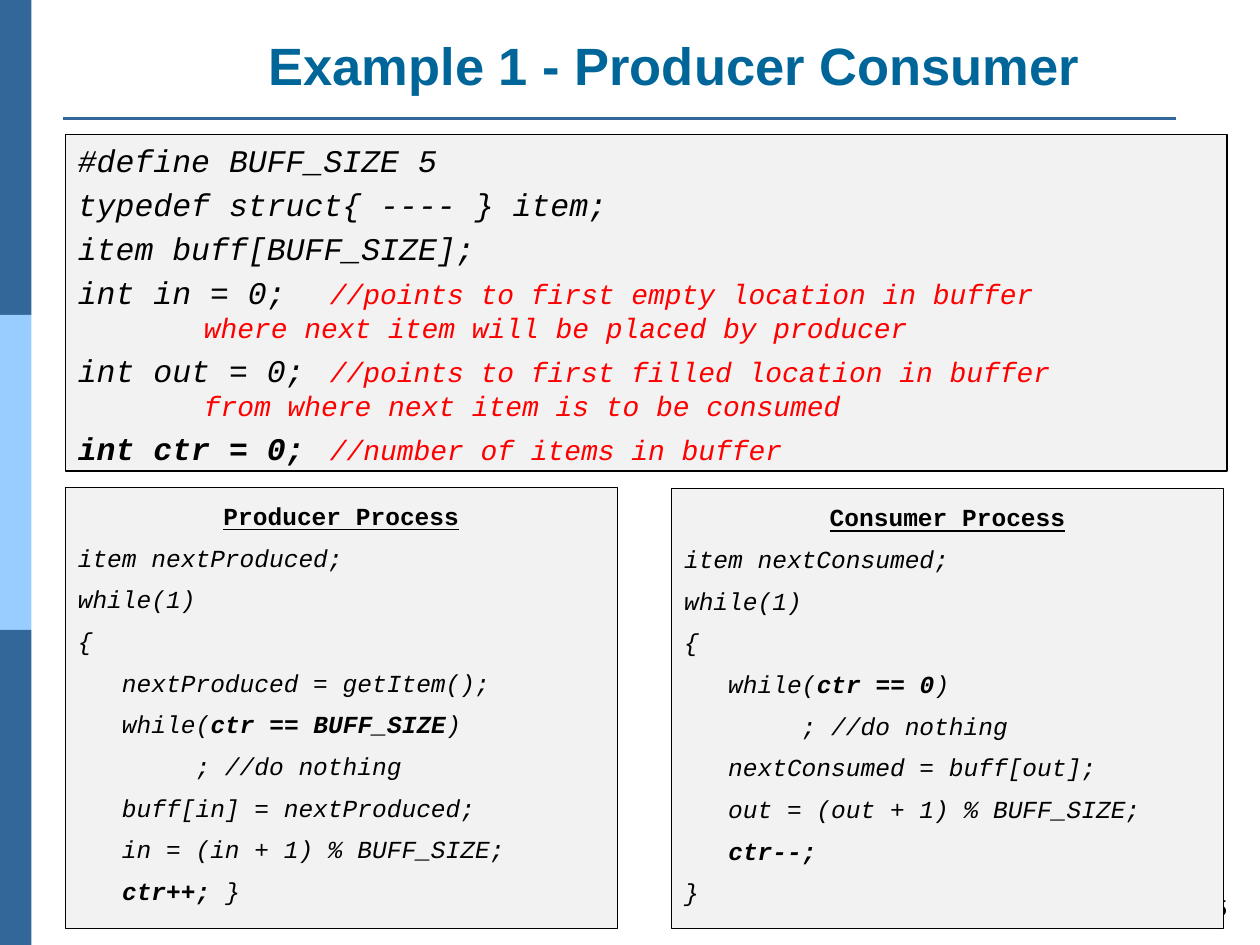
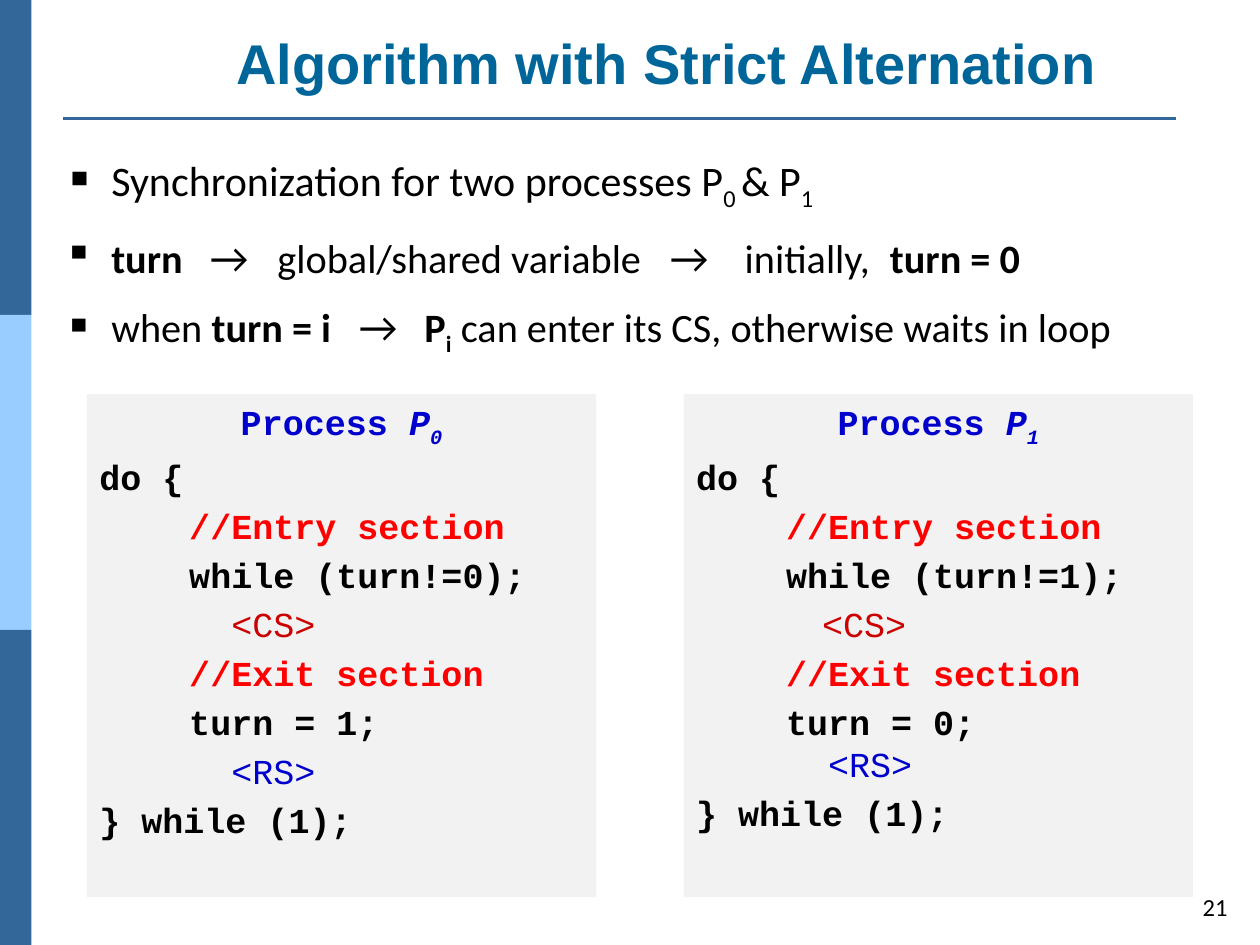
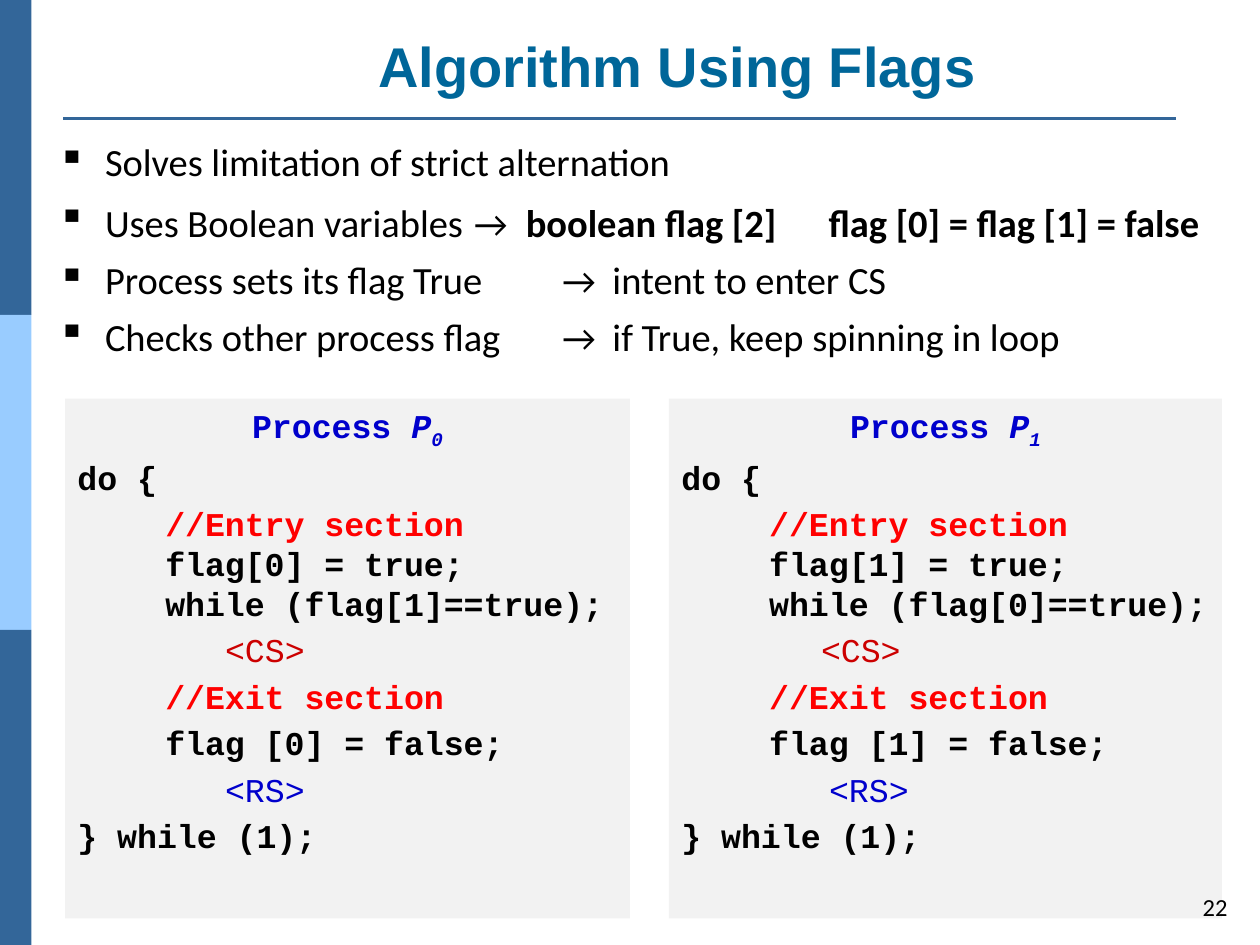
from dataclasses import dataclass

import pptx
import pptx.dml.color
import pptx.enum.shapes
import pptx.enum.text
import pptx.oxml
import pptx.oxml.ns
import pptx.util
from pptx.util import Pt


@dataclass(frozen=True)
class Theme:
    dark_band: str = "336699"
    light_band: str = "99CCFF"
    title: str = "006699"
    panel: str = "F2F2F2"
    ink: str = "000000"
    comment: str = "FF0000"
    critical: str = "CC0000"
    process: str = "0000CC"
    title_font: str = "Arial"
    body_font: str = "Calibri"
    arrow_font: str = "Lato"
    code_font: str = "Courier New"
    number_size: int = 14
    process_size: int = 14
    comment_size: int = 16
    declaration_size: int = 18
    arrow_size: int = 20


theme = Theme()
ALIGN = pptx.enum.text.PP_ALIGN
ANCHOR = pptx.enum.text.MSO_ANCHOR


def add_box(slide, bounds, fill=None, line=None, anchor=ANCHOR.TOP):
    """Add a filled rectangle, or a text box without fill; return its text frame."""
    left, top, width, height = map(Pt, bounds)
    if fill:
        shape = slide.shapes.add_shape(
            pptx.enum.shapes.MSO_SHAPE.RECTANGLE, left, top, width, height)
        shape.shadow.inherit = False
        shape.fill.solid()
        shape.fill.fore_color.rgb = pptx.dml.color.RGBColor.from_string(fill)
        if line:
            shape.line.color.rgb = pptx.dml.color.RGBColor.from_string(line)
            shape.line.width = Pt(0.75)
        else:
            shape.line.fill.background()
    else:
        shape = slide.shapes.add_textbox(left, top, width, height)
    frame = shape.text_frame
    frame.word_wrap = True
    frame.vertical_anchor = anchor
    return frame


def add_text(frame, *runs, align=ALIGN.LEFT, indent=0, before=0, spacing=None,
             bullet=None, tabs=(), **run_format):
    """Add a paragraph; a run is a string, or a (string, format changes) pair."""
    is_first = not frame.paragraphs[0].runs
    paragraph = frame.paragraphs[0] if is_first else frame.add_paragraph()
    paragraph.alignment = align
    properties = paragraph._p.get_or_add_pPr()
    properties.set("marL", str(Pt(indent)))
    properties.set("indent", str(-Pt(indent) if bullet else 0))
    namespace = pptx.oxml.ns.nsdecls("a")
    if bullet:
        properties.append(pptx.oxml.parse_xml(f'<a:buChar {namespace} char="{bullet}"/>'))
    if tabs:
        stops = "".join(f'<a:tab pos="{Pt(tab)}" algn="l"/>' for tab in tabs)
        properties.append(pptx.oxml.parse_xml(f"<a:tabLst {namespace}>{stops}</a:tabLst>"))
    if not is_first:
        paragraph.space_before = Pt(before)
    if spacing:
        paragraph.line_spacing = spacing
    for item in runs:
        text, changes = (item, {}) if isinstance(item, str) else item
        look = {"color": theme.ink, **run_format, **changes}
        for index, piece in enumerate(text.split("\n")):
            if index:
                paragraph.add_line_break()
            run = paragraph.add_run()
            run.text = piece
            font = run.font
            font.name = look["font"]
            font.size = Pt(look["size"])
            font.color.rgb = pptx.dml.color.RGBColor.from_string(look["color"])
            font.bold = look.get("bold", False)
            font.italic = look.get("italic", False)
            font.underline = look.get("underline", False)
            if look.get("subscript"):
                run._r.get_or_add_rPr().set("baseline", "-25000")


presentation = pptx.Presentation()
presentation.slide_width = Pt(720)
presentation.slide_height = Pt(540)
blank_layout = presentation.slide_layouts[6]
producer_slide, alternation_slide, flags_slide = [
    presentation.slides.add_slide(blank_layout) for _ in range(3)]

BOLD = {"bold": True}
SUBSCRIPT = {"subscript": True}
BOLD_SUBSCRIPT = {"bold": True, "subscript": True}
ARROW = {"font": theme.arrow_font}
SMALL_ARROW = {"font": theme.arrow_font, "size": theme.arrow_size}

# Process panels: slide, bounds, process, type size, entry code, its gap, exit code,
# indent of <CS>, indent of <RS>, gap above <RS>
process_panels = [
    (alternation_slide, (49.7, 225.2, 291, 287.4), "0", 20,
     "while (turn!=0);", 4, "turn = 1;", 75.4, 75.4, 4),
    (alternation_slide, (390.7, 225.2, 291, 287.4), "1", 20,
     "while (turn!=1);", 4, "turn = 0;", 72, 75.4, 0),
    (flags_slide, (37.2, 227.8, 322.8, 297), "0", 19,
     "flag[0] = true;\nwhile (flag[1]==true);", 0, "flag [0] = false;", 84.4, 84.4, 3.8),
    (flags_slide, (382.3, 227.8, 316, 297), "1", 19,
     "flag[1] = true;\nwhile (flag[0]==true);", 0, "flag [1] = false;", 79.8, 84.4, 3.8),
]
for (slide, bounds, process, size, entry_code, entry_gap, exit_code,
     critical_indent, remainder_indent, remainder_gap) in process_panels:
    frame = add_box(slide, bounds, fill=theme.panel)
    code = {"font": theme.code_font, "size": size}
    add_text(frame, "Process ", ("P", {"italic": True}),
             (process, {"italic": True, "subscript": True}),
             align=ALIGN.CENTER, color=theme.process, bold=True, **code)
    gap = 0.2 * size
    code_indent = 27.4 + 1.2 * size
    for text, indent, color, bold, before in [
        ("do {", 0, theme.ink, True, gap),
        ("//Entry section", code_indent, theme.comment, True, gap),
        (entry_code, code_indent, theme.ink, True, entry_gap),
        ("<CS>", critical_indent, theme.critical, False, gap),
        ("//Exit section", code_indent, theme.comment, True, gap),
        (exit_code, code_indent, theme.ink, True, gap),
        ("<RS>", remainder_indent, theme.process, False, remainder_gap),
        ("} while (1);", 0, theme.ink, True, gap),
    ]:
        add_text(frame, text, indent=indent, color=color, bold=bold, before=before, **code)

# Bullet lists: slide, bounds, type size, space before, (tab stops, runs) of each point
bullet_lists = [
    (alternation_slide, (29.5, 85, 676, 137.5), 23, 12, [
        ((), [("Synchronization for two processes P", {"size": 24}),
              ("0 ", {"size": 24, **SUBSCRIPT}), ("& P", {"size": 24}),
              ("1", {"size": 24, **SUBSCRIPT})]),
        ((83, 122, 345.8, 389, 472), [
            ("turn", BOLD), ("\t→", ARROW), "\tglobal/shared variable", ("\t→", ARROW),
            "\tinitially,", ("\tturn = 0", BOLD)]),
        ((168, 206), ["when ", ("turn = i", BOLD), ("\t→", ARROW), ("\tP", BOLD),
                      ("i", BOLD_SUBSCRIPT), " can enter its CS, otherwise waits in loop"]),
    ]),
    (flags_slide, (25.9, 75.6, 682.6, 168.5), 22, 6, [
        ((), ["Solves limitation of strict alternation"]),
        ((237.5, 267.5, 440.5), [
            "Uses Boolean variables", ("\t", {"font": theme.arrow_font, "size": 24}),
            ("→", SMALL_ARROW), ("\tboolean flag [2]", BOLD),
            ("\tflag [0] = flag [1] = false", BOLD)]),
        ((288, 317), ["Process sets its flag True", ("\t→", SMALL_ARROW),
                      "\tintent to enter CS"]),
        ((288, 317), ["Checks other process flag", ("\t→", SMALL_ARROW),
                      "\tif True, keep spinning in loop"]),
    ]),
]
for slide, bounds, size, before, points in bullet_lists:
    frame = add_box(slide, bounds)
    for tabs, runs in points:
        add_text(frame, *runs, indent=27, before=before, bullet="▪", tabs=tabs,
                 font=theme.body_font, size=size)

# Bands, rule, title and page number of every slide
for slide, title, title_size, title_bounds, number in [
    (producer_slide, "Example 1 - Producer Consumer", 30, (103, 16.6, 564.5, 41.8), "5"),
    (alternation_slide, "Algorithm with Strict Alternation", 32,
     (47.5, 5.8, 666.7, 52.6), "21"),
    (flags_slide, "Algorithm Using Flags", 32, (60.5, 5.8, 653, 54), "22"),
]:
    for row, color in enumerate([theme.dark_band, theme.light_band, theme.dark_band]):
        add_box(slide, (0, 180 * row, 18, 180), fill=color)
    rule = slide.shapes.add_connector(
        pptx.enum.shapes.MSO_CONNECTOR.STRAIGHT, Pt(36), Pt(67.7), Pt(672), Pt(67.7))
    rule.line.color.rgb = pptx.dml.color.RGBColor.from_string(theme.dark_band)
    rule.line.width = Pt(1.5)
    rule._element.spPr.append(
        pptx.oxml.parse_xml(f'<a:effectLst {pptx.oxml.ns.nsdecls("a")}/>'))
    add_text(add_box(slide, title_bounds, anchor=ANCHOR.BOTTOM), title, align=ALIGN.CENTER,
             font=theme.title_font, size=title_size, color=theme.title, bold=True)
    add_text(add_box(slide, (676, 503.3, 32.5, 29.5), anchor=ANCHOR.MIDDLE), number,
             align=ALIGN.RIGHT, font=theme.body_font, size=theme.number_size)

# Shared declarations of the producer and the consumer, above the page number
COMMENT = {"size": theme.comment_size, "color": theme.comment, "bold": False}
declarations = add_box(producer_slide, (37.4, 77, 663.8, 192.2), theme.panel, theme.ink)
for statement, comment, bold in [
    ("#define BUFF_SIZE 5", "", False),
    ("typedef struct{ ---- } item;", "", False),
    ("item buff[BUFF_SIZE];", "", False),
    ("int in = 0;", "//points to first empty location in buffer\n"
     "\t\twhere next item will be placed by producer", False),
    ("int out = 0;", "//points to first filled location in buffer\n"
     "\t\tfrom where next item is to be consumed", False),
    ("int ctr = 0;", "//number of items in buffer", True),
]:
    runs = [statement, ("\t" + comment, COMMENT)] if comment else [statement]
    add_text(declarations, *runs, tabs=(192.6, 208.7), before=3.6, font=theme.code_font,
             size=theme.declaration_size, italic=True, bold=bold)

for bounds, heading, lines in [
    ((37.4, 278.6, 315.4, 252), "Producer Process", [
        ["item nextProduced;"],
        ["while(1)"],
        ["{"],
        ["   nextProduced = getItem();"],
        ["   while(", ("ctr == BUFF_SIZE", BOLD), ")"],
        ["        ; //do nothing"],
        ["   buff[in] = nextProduced;"],
        ["   in = (in + 1) % BUFF_SIZE;"],
        ["   ", ("ctr++; ", BOLD), "}"],
    ]),
    ((383.8, 279.3, 315.4, 251.3), "Consumer Process", [
        ["item nextConsumed;"],
        ["while(1)"],
        ["{"],
        ["   while(", ("ctr == 0", BOLD), ")"],
        ["        ; //do nothing"],
        ["   nextConsumed = buff[out];"],
        ["   out = (out + 1) % BUFF_SIZE;"],
        ["   ", ("ctr--;", BOLD)],
        ["}"],
    ]),
]:
    frame = add_box(producer_slide, bounds, theme.panel, theme.ink)
    code = {"font": theme.code_font, "size": theme.process_size, "spacing": 1.25}
    add_text(frame, heading, align=ALIGN.CENTER, bold=True, underline=True, **code)
    for runs in lines:
        add_text(frame, *runs, before=2.8, italic=True, **code)

presentation.save("out.pptx")
